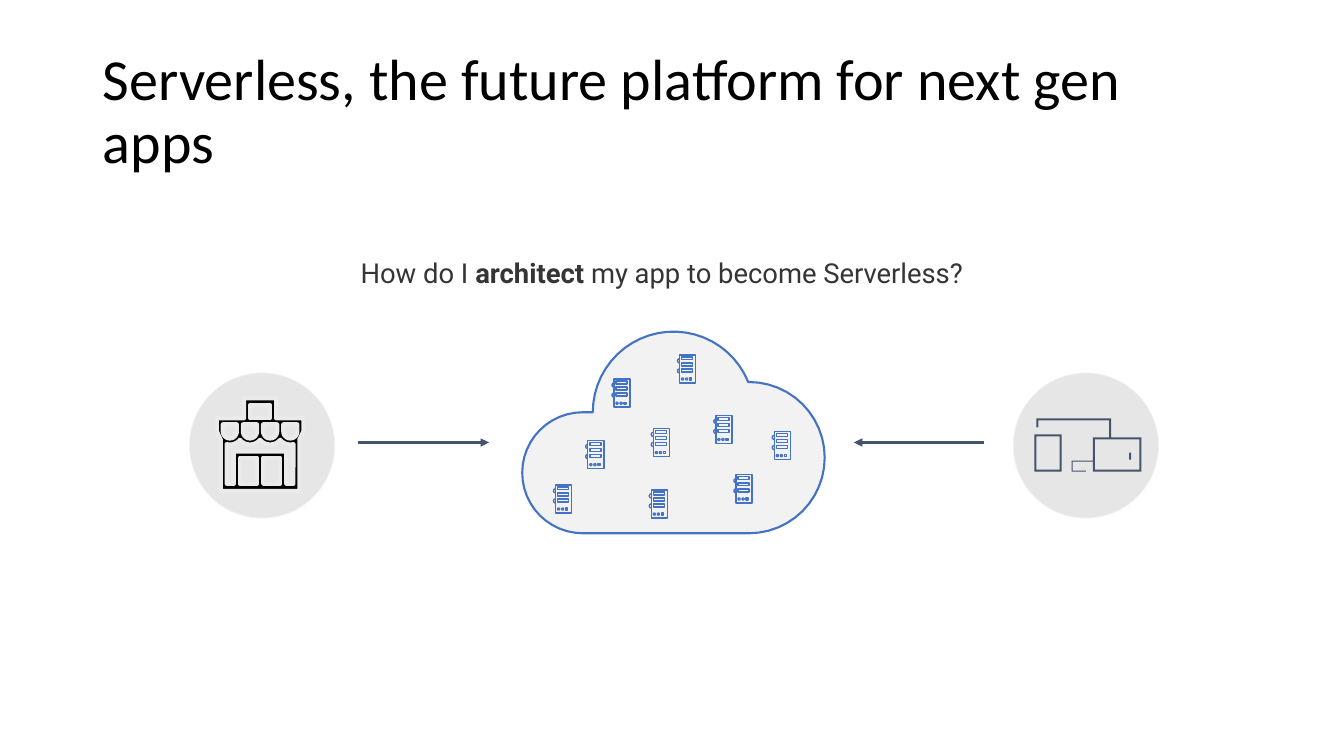
from math import cos, radians, sin

from lxml import etree
from pptx import Presentation
from pptx.dml.color import RGBColor
from pptx.enum import shapes, text
from pptx.oxml.ns import qn
from pptx.util import Inches, Pt

BLACK = RGBColor(0x00, 0x00, 0x00)
TEXT = RGBColor(0x35, 0x35, 0x35)
BLUE = RGBColor(0x44, 0x72, 0xC4)
SLATE = RGBColor(0x44, 0x54, 0x6A)
PALE = RGBColor(0xF2, 0xF2, 0xF2)
DISC = RGBColor(0xE7, 0xE6, 0xE6)
HALO = RGBColor(0xEA, 0xEA, 0xEA)

RECT = shapes.MSO_SHAPE.RECTANGLE
OVAL = shapes.MSO_SHAPE.OVAL


def arc(x, y, r, start, end, steps=24):
    """Points along a circle, clockwise from start to end in degrees."""
    turns = [radians(start + (end - start) * i / steps) for i in range(steps + 1)]
    return [(x + r * cos(a), y + r * sin(a)) for a in turns]


def box(x1, y1, x2, y2):
    return [(x1, y1), (x2, y1), (x2, y2), (x1, y2)]


class Page:
    """The current slide and its style."""

    def __init__(self, slide):
        self.slide = slide
        self.items = slide.shapes

    def paint(self, shape, fill, line, width):
        shape.shadow.inherit = False
        if fill is None:
            shape.fill.background()
        else:
            shape.fill.solid()
            shape.fill.fore_color.rgb = fill
        if line is None:
            shape.line.fill.background()
        else:
            shape.line.color.rgb = line
            shape.line.width = Pt(width)

    def shape(self, kind, x, y, w, h, fill=None, line=BLUE, width=1, on=None):
        item = (on or self.items).add_shape(
            kind, Inches(x), Inches(y), Inches(w), Inches(h))
        self.paint(item, fill, line, width)

    def outline(self, rings, fill=None, line=BLUE, width=1, close=True, on=None):
        rings = [[(Inches(x), Inches(y)) for x, y in ring] for ring in rings]
        pen = (on or self.items).build_freeform(*rings[0][0], scale=1.0)
        for i, ring in enumerate(rings):
            if i:
                pen.move_to(*ring[0])
            pen.add_line_segments(ring[1:], close=close)
        self.paint(pen.convert_to_shape(), fill, line, width)

    def arrow(self, x1, x2, y):
        item = self.items.add_connector(
            shapes.MSO_CONNECTOR.STRAIGHT,
            Inches(x1), Inches(y), Inches(x2), Inches(y))
        item.line.color.rgb = SLATE
        item.line.width = Pt(2)
        props = item._element.spPr
        etree.SubElement(props.find(qn("a:ln")), qn("a:tailEnd"), type="triangle")
        etree.SubElement(props, qn("a:effectLst"))

    def add_runs(self, para, runs, font, size, color):
        for words, bold in runs:
            run = para.add_run()
            run.text = words
            run.font.name = font
            run.font.size = Pt(size)
            run.font.bold = bold
            run.font.color.rgb = color

    def title(self, words):
        item = self.items.title
        item.left, item.top = Inches(0.92), Inches(0.4)
        item.width, item.height = Inches(11.5), Inches(1.45)
        frame = item.text_frame
        frame.word_wrap = True
        frame.auto_size = text.MSO_AUTO_SIZE.NONE
        frame.vertical_anchor = text.MSO_ANCHOR.MIDDLE
        para = frame.paragraphs[0]
        para.alignment = text.PP_ALIGN.LEFT
        para.line_spacing = 0.9
        self.add_runs(para, [(words, False)], "Calibri", 41.5, BLACK)

    def label(self, x, y, w, h, runs):
        item = self.items.add_textbox(Inches(x), Inches(y), Inches(w), Inches(h))
        frame = item.text_frame
        frame.word_wrap = True
        frame.auto_size = text.MSO_AUTO_SIZE.SHAPE_TO_FIT_TEXT
        para = frame.paragraphs[0]
        para.alignment = text.PP_ALIGN.CENTER
        self.add_runs(para, runs, "Roboto", 19.6, TEXT)

    def cloud(self):
        ring = (arc(6.68, 4.09, 0.8, 180, 338)
                + arc(7.43, 4.54, 0.75, 270, 450)
                + arc(5.78, 4.69, 0.6, 90, 270))
        self.outline([ring], PALE, BLUE, 1.5)

    def server(self, x, y):
        part = self.items.add_group_shape().shapes
        self.shape(RECT, x, y, 0.16, 0.28, on=part)
        for i in range(3):
            self.shape(RECT, x + 0.02, y + 0.02 + 0.06 * i, 0.11, 0.03, on=part)
        for drop in (0.06, 0.16):
            self.outline([arc(x, y + drop, 0.02, 90, 270, 8)], close=False, on=part)
        for i, kind in enumerate((OVAL, OVAL, RECT)):
            self.shape(kind, x + 0.02 + 0.04 * i, y + 0.23, 0.02, 0.02, on=part)

    def store(self):
        body = [(2.19, 4.87), (2.97, 4.87), (2.97, 4.36), (3.01, 4.28),
                (3.01, 4.15), (2.74, 4.15), (2.74, 3.95), (2.42, 3.95),
                (2.42, 4.15), (2.15, 4.15), (2.15, 4.28), (2.19, 4.36)]
        wall = [(2.91, 4.8), (2.84, 4.8), (2.84, 4.48),
                (2.32, 4.48), (2.32, 4.8), (2.25, 4.8)]
        flaps = []
        for i in range(4):
            mid = 2.28 + 0.2 * i
            wall += arc(mid, 4.28, 0.13, 140 if i else 104, 40 if i < 3 else 76, 8)
            flaps.append([(mid - 0.07, 4.21), (mid + 0.07, 4.21)]
                         + arc(mid, 4.28, 0.07, 0, 180, 12))
        doors = [box(x, 4.54, x + 0.17, 4.8) for x in (2.38, 2.61)]
        sign = box(2.48, 4.02, 2.68, 4.15)
        self.outline([body, wall, sign] + doors + flaps, BLACK, HALO, 3)

    def devices(self):
        frame = [(10.28, 4.15), (11.02, 4.15), (11.02, 4.34), (11.32, 4.34),
                 (11.32, 4.68), (10.84, 4.68), (10.84, 4.58), (10.64, 4.58),
                 (10.64, 4.67), (10.77, 4.67), (10.77, 4.68), (10.63, 4.68),
                 (10.63, 4.57), (10.84, 4.57), (10.84, 4.34), (11, 4.34),
                 (11, 4.17), (10.3, 4.17), (10.3, 4.24), (10.28, 4.24)]
        rings = [frame, box(10.86, 4.36, 11.3, 4.66), box(11.2, 4.49, 11.22, 4.56),
                 box(10.26, 4.31, 10.53, 4.68), box(10.28, 4.33, 10.51, 4.66)]
        self.outline(rings, SLATE, None)


def main():
    deck = Presentation()
    deck.slide_width, deck.slide_height = Inches(13.33), Inches(7.5)
    page = Page(deck.slides.add_slide(deck.slide_layouts[5]))

    # Cloud and heading
    page.cloud()
    page.title("Serverless, the future platform for next gen apps")

    # Store and devices, each on a disc
    for x, icon in ((1.88, page.store), (10.05, page.devices)):
        page.shape(OVAL, x, 3.7, 1.44, 1.44, DISC, PALE, 0.5)
        icon()

    # Arrows towards the cloud
    page.arrow(3.55, 4.85, 4.39)
    page.arrow(9.76, 8.47, 4.39)

    # Question
    page.label(3.26, 2.49, 6.61, 0.44, [
        ("How do I ", False), ("architect", True),
        (" my app to become Serverless?", False)])

    # Servers in the cloud
    for x, y in ((6.09, 3.76), (6.74, 3.52), (5.83, 4.37),
                 (6.48, 4.25), (7.3, 4.71), (7.1, 4.12),
                 (7.68, 4.28), (6.46, 4.86), (5.51, 4.81)):
        page.server(x, y)

    deck.save("out.pptx")


if __name__ == "__main__":
    main()
